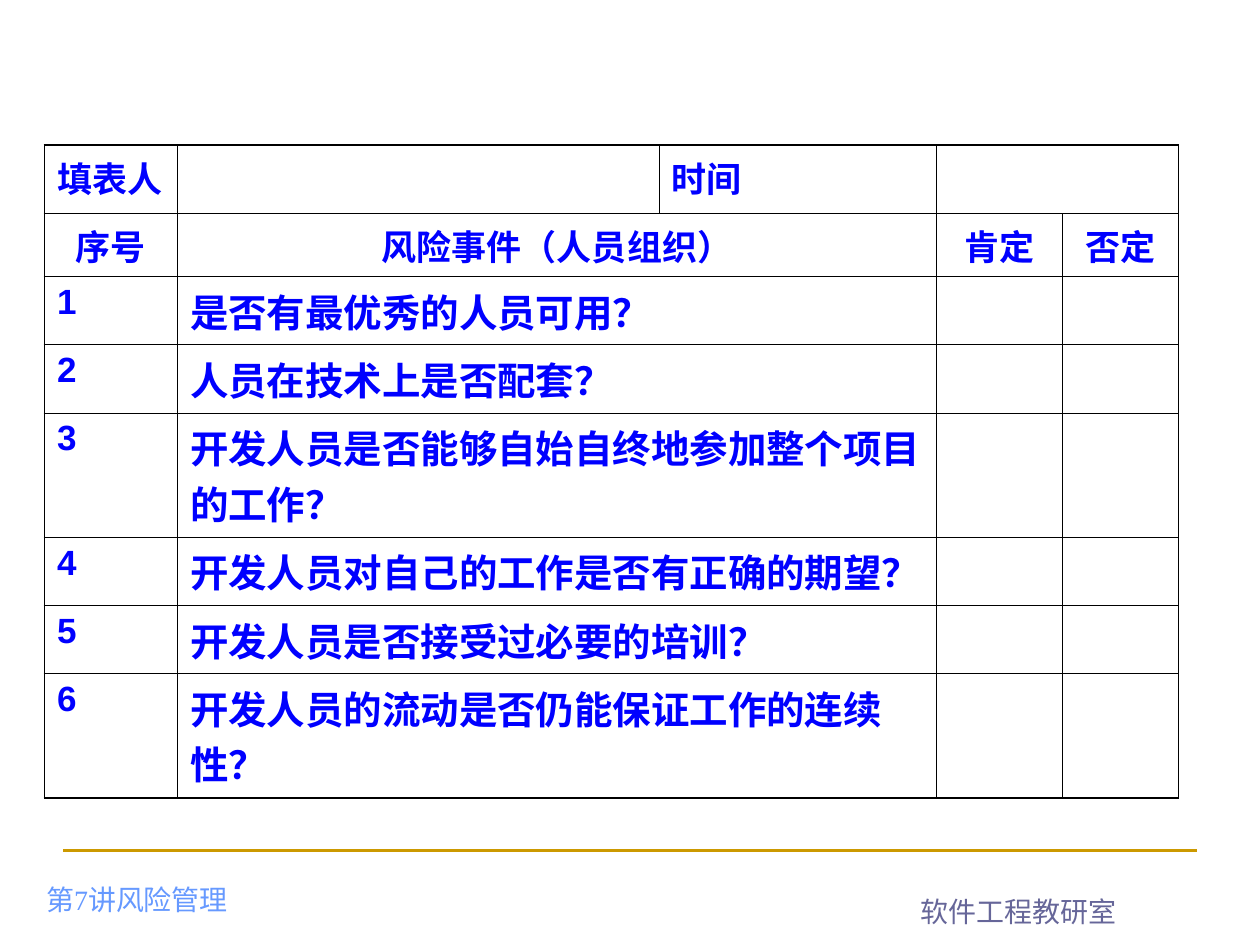
import dataclasses

import pptx
import pptx.dml.color
import pptx.enum.shapes
import pptx.enum.text
import pptx.oxml
import pptx.oxml.ns
import pptx.util
from lxml import etree

Pt = pptx.util.Pt
Align = pptx.enum.text.PP_ALIGN
BLUE = "0000FF"
BLACK = "000000"
THIN, THICK = 0.45, 1.08


@dataclasses.dataclass
class Entry:
    row: int
    column: int
    text: str
    size: float = 20
    align: Align = Align.LEFT


@dataclasses.dataclass
class Footer:
    left: float
    top: float
    width: float
    text: str
    colour: str
    align: Align = Align.LEFT


COLUMN_WIDTHS = [76, 275.4, 158.4, 72, 66.2]
ROW_HEIGHTS = [39, 36, 39, 39, 71, 39, 39, 71]
MERGES = [(0, 3)] + [(row, 1) for row in range(1, len(ROW_HEIGHTS))]
QUESTIONS = [
    "是否有最优秀的人员可用？",
    "人员在技术上是否配套？",
    "开发人员是否能够自始自终地参加整个项目的工作？",
    "开发人员对自己的工作是否有正确的期望？",
    "开发人员是否接受过必要的培训？",
    "开发人员的流动是否仍能保证工作的连续性？",
]
HEADINGS = [
    Entry(0, 0, "填表人"),
    Entry(0, 2, "时间"),
    Entry(1, 0, "序号", align=Align.CENTER),
    Entry(1, 1, "风险事件（人员组织）", align=Align.CENTER),
    Entry(1, 3, "肯定", align=Align.CENTER),
    Entry(1, 4, "否定", align=Align.CENTER),
]
FOOTERS = [
    Footer(468, 498.2, 228.2, "软件工程教研室", "666699", Align.CENTER),
    Footer(19.4, 491, 295.2, "第7讲风险管理", "6699FF"),
]


def rgb(colour: str) -> pptx.dml.color.RGBColor:
    return pptx.dml.color.RGBColor.from_string(colour)


def write(paragraph, text: str, face: str, size: float, colour: str, align: Align, bold: bool = False) -> None:
    paragraph.text = text
    paragraph.alignment = align
    # Keep closing punctuation inside the text area
    paragraph._p.get_or_add_pPr().set("hangingPunct", "0")
    font = paragraph.font
    font.name, font.size, font.bold = face, Pt(size), bold
    font.color.rgb = rgb(colour)


def set_borders(cell, widths: dict[str, float]) -> None:
    properties = cell._tc.get_or_add_tcPr()
    for position, (side, width) in enumerate(widths.items()):
        border = pptx.oxml.parse_xml(
            f'<a:ln{side} {pptx.oxml.ns.nsdecls("a")} w="{Pt(width)}"><a:solidFill>'
            f'<a:srgbClr val="{BLACK}"/></a:solidFill></a:ln{side}>'
        )
        properties.insert(position, border)


def add_checklist(slide, entries: list[Entry]) -> None:
    row_count, column_count = len(ROW_HEIGHTS), len(COLUMN_WIDTHS)
    checklist = slide.shapes.add_table(
        row_count, column_count, Pt(25.4), Pt(83), Pt(sum(COLUMN_WIDTHS)), Pt(sum(ROW_HEIGHTS))
    ).table
    checklist.first_row = checklist.horz_banding = False
    for column, width in zip(checklist.columns, COLUMN_WIDTHS):
        column.width = Pt(width)
    for row, height in zip(checklist.rows, ROW_HEIGHTS):
        row.height = Pt(height)

    # Thin grid with a thicker outer frame
    for row in range(row_count):
        for column in range(column_count):
            cell = checklist.cell(row, column)
            cell.fill.background()
            outer = {
                "L": column == 0,
                "R": column == column_count - 1,
                "T": row == 0,
                "B": row == row_count - 1,
            }
            set_borders(cell, {side: THICK if edge else THIN for side, edge in outer.items()})
    for row, column in MERGES:
        checklist.cell(row, column).merge(checklist.cell(row, column + 1))

    for entry in entries:
        paragraph = checklist.cell(entry.row, entry.column).text_frame.paragraphs[0]
        write(paragraph, entry.text, "Arial", entry.size, BLUE, entry.align, bold=True)

    # The last question wraps before its final word
    checklist.cell(row_count - 1, 1).margin_right = Pt(18)


def add_rule(slide) -> None:
    rule = slide.shapes.add_connector(
        pptx.enum.shapes.MSO_CONNECTOR.STRAIGHT, Pt(36), Pt(486), Pt(684), Pt(486)
    )
    rule.line.color.rgb = rgb("CC9900")
    rule.line.width = Pt(1.5)
    etree.SubElement(rule._element.spPr, pptx.oxml.ns.qn("a:effectLst"))


def add_footer(slide, footer: Footer) -> None:
    frame = slide.shapes.add_textbox(
        Pt(footer.left), Pt(footer.top), Pt(footer.width), Pt(36)
    ).text_frame
    frame.word_wrap = True
    frame.vertical_anchor = pptx.enum.text.MSO_ANCHOR.BOTTOM
    write(frame.paragraphs[0], footer.text, "Times New Roman", 16, footer.colour, footer.align)


def main() -> None:
    presentation = pptx.Presentation()
    presentation.slide_width, presentation.slide_height = Pt(720), Pt(540)
    slide = presentation.slides.add_slide(presentation.slide_layouts[6])

    # Footer line and captions
    add_rule(slide)
    for footer in FOOTERS:
        add_footer(slide, footer)

    # Risk checklist
    entries = list(HEADINGS)
    for number, question in enumerate(QUESTIONS, start=1):
        entries += [Entry(number + 1, 0, str(number)), Entry(number + 1, 1, question, size=22)]
    add_checklist(slide, entries)

    presentation.save("out.pptx")


if __name__ == "__main__":
    main()
